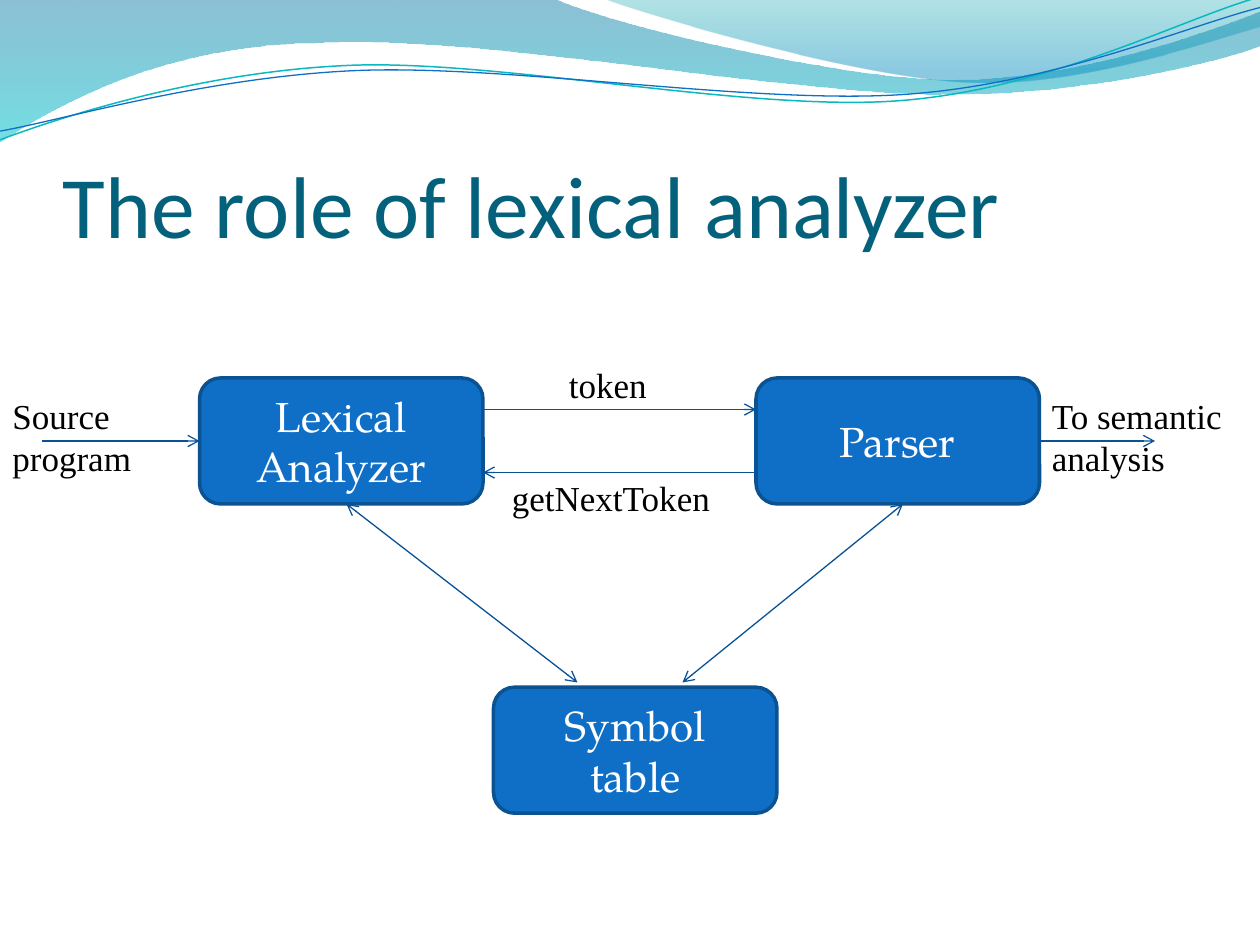
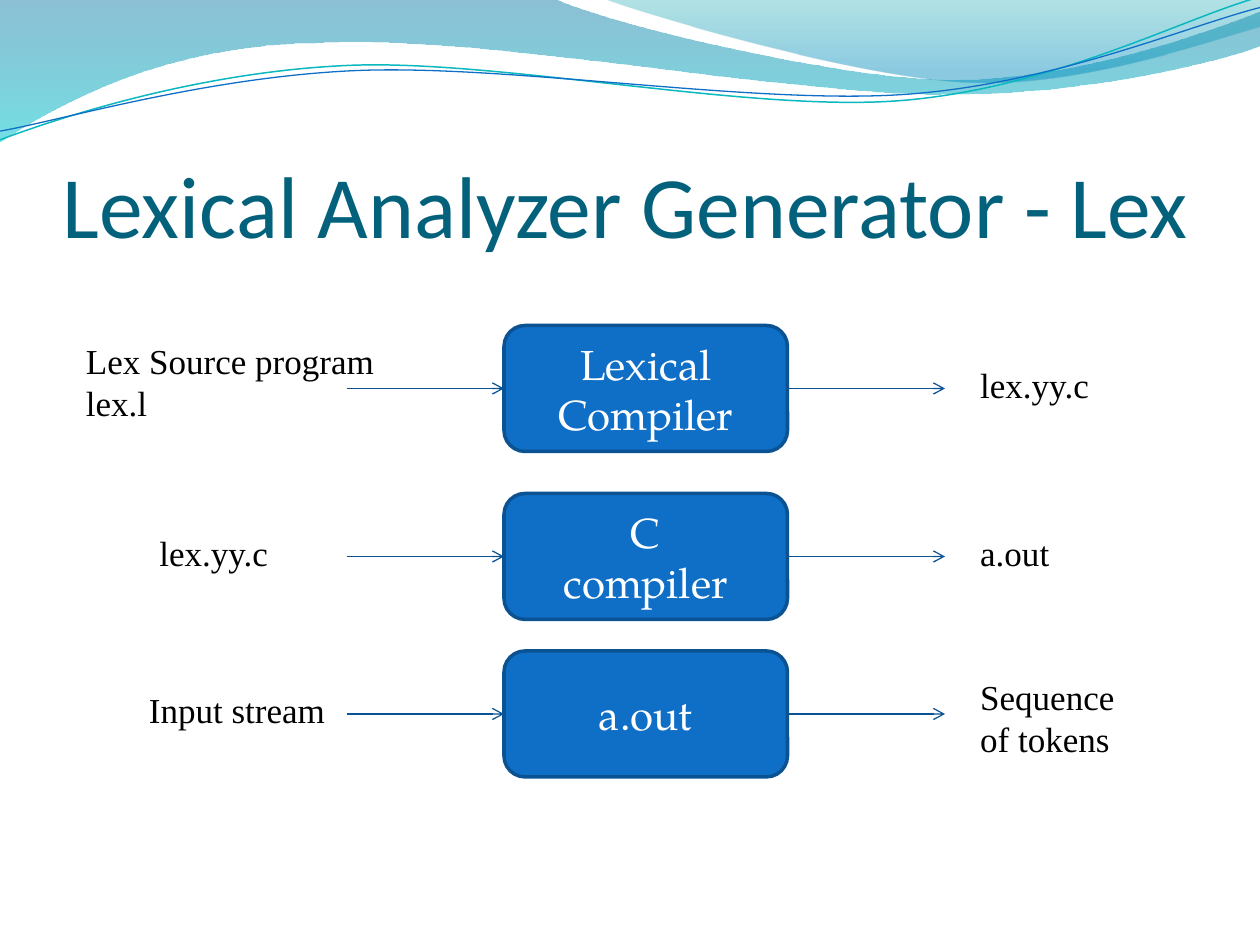
"""Build two slides on lexical analysis: its role, and the Lex generator."""
from dataclasses import dataclass

from lxml.etree import SubElement as Sub
from pptx import Presentation
from pptx.dml.color import RGBColor as RGB
from pptx.enum.shapes import MSO_CONNECTOR as Link, MSO_SHAPE as Kind
from pptx.enum.text import MSO_ANCHOR as Anchor, PP_ALIGN as Align
from pptx.oxml.ns import qn
from pptx.util import Pt


@dataclass(frozen=True)
class Theme:
    title: tuple = ("Calibri", 50, "04617B")
    box: tuple = ("TeX Gyre Pagella", 24, "FFFFFF")
    label: tuple = ("Times New Roman", 20, "000000")
    fill: str = "0F6FC6"
    edge: str = "0B5292"
    arrow: str = "095295"
    teal: str = "0AB8BF"
    wave: tuple = ((0, "0074A1", 45), (1, "00C6CF", 55))
    crest: tuple = ((0, "00A1A9", 30), (0.8, "008BBF", 45))


def sweep(shapes, start, parts, close):
    spots = [(Pt(x), Pt(y)) for part in parts
             for x, y in zip(part[::2], part[1::2])]
    pen = shapes.build_freeform(*map(Pt, start))
    pen.add_line_segments(spots, close=close)
    shape = pen.convert_to_shape()
    shape.shadow.inherit = False
    lines = iter(list(shape.element.iter(qn("a:lnTo"))))
    for part in parts:
        bend = next(lines)
        if len(part) == 6:
            bend.tag = qn("a:cubicBezTo")
            for extra in (next(lines), next(lines)):
                bend.append(extra[0])
                extra.getparent().remove(extra)
    return shape


def write(frame, text, style, align=Align.LEFT):
    frame.text = text
    for para in frame.paragraphs:
        para.alignment = align
        for run in para.runs:
            run.font.name, size, color = style
            run.font.size = Pt(size)
            run.font.color.rgb = RGB.from_string(color)


look = Theme()
wide, high = 162, 72

bands = [
    (look.wave, (0, -0.7), [
        (316.8, -0.7),
        (342.7, 12.2, 478.1, 45.4, 545.8, 45.4),
        (614.2, 45.4, 689.8, 18.7, 720, 6.5),
        (720.7, 25.9),
        (707.8, 31.7, 626.4, 54.7, 537.1, 54),
        (447.8, 54, 275, 20.2, 185, 24.5),
        (92.9, 25.2, 33.1, 59.8, -0.7, 81.4)]),
    (look.crest, (344.9, -0.7), [
        (366.5, 7.9, 491, 44.6, 553.7, 46.8),
        (616.3, 49.7, 691.9, 23, 720, 15.1),
        (720, 0)]),
]
curves = [
    (look.teal, 0.85, (0, 79.9), [
        (34.6, 67, 113.8, 41, 199.4, 37.4),
        (284.4, 33.8, 427, 64.1, 513.4, 57.6),
        (599.8, 51.1, 675.4, 10.8, 718.6, -1.4)]),
    (look.fill, 0.75, (0, 74.9), [
        (33.8, 69.1, 118.1, 43.9, 203.8, 40.3),
        (290.2, 36.7, 429.8, 59.8, 516.2, 54),
        (601.9, 48.2, 677.5, 15.1, 720, 4.3)]),
]

rows = 186, 282, 372
flows = [(x, y + high / 2, x + 90, y + high / 2)
         for y in rows for x in (198, 450)]
pages = [
    {"title": "The role of lexical analyzer",
     "boxes": [("Lexical Analyzer", 114, 216), ("Parser", 432, 216),
               ("Symbol\ntable", 282, 392.7)],
     "arrows": [(24, 252, 114, 252), (276, 234, 432, 234),
                (432, 270, 276, 270), (594, 252, 660, 252)],
     "doubles": [(198, 288, 330, 390), (516, 288, 390, 390)],
     "wrap": False,
     "labels": [("Source\nprogram", 0, 222, 83, 55.4),
                ("token", 318, 204, 59, 31.7),
                ("getNextToken", 285.4, 268.6, 129, 31.7),
                ("To semantic\nanalysis", 594, 222, 112.3, 55.4)]},
    {"title": "Lexical Analyzer Generator - Lex",
     "boxes": [(text, 288, y) for text, y in zip(
         ("Lexical Compiler", "C\ncompiler", "a.out"), rows)],
     "arrows": flows,
     "doubles": [],
     "wrap": True,
     "labels": [("Lex Source program\nlex.l", 42, 190.4, 182, 55.4),
                ("lex.yy.c", 553, 204, 101, 31.7),
                ("lex.yy.c", 84, 300, 124.6, 31.7),
                ("a.out", 553, 300, 101, 31.7),
                ("Input stream", 78, 390, 124.6, 31.7),
                ("Sequence of tokens", 553, 382.3, 101, 55.4)]},
]

deck = Presentation()
deck.slide_width, deck.slide_height = Pt(720), Pt(540)

for page in pages:
    slide = deck.slides.add_slide(deck.slide_layouts[6])
    shapes = slide.shapes

    for stops, start, parts in bands:
        band = sweep(shapes, start, parts, True)
        band.line.fill.background()
        band.fill.gradient()
        band.fill.gradient_angle = 270
        for stop, (place, color, _) in zip(band.fill.gradient_stops, stops):
            stop.position = place
            stop.color.rgb = RGB.from_string(color)
        tints = band.element.spPr.iter(qn("a:srgbClr"))
        for tint, (_, _, alpha) in zip(tints, stops):
            Sub(tint, qn("a:alpha"), val=str(alpha * 1000))

    for color, width, start, parts in curves:
        curve = sweep(shapes, start, parts, False)
        curve.fill.background()
        curve.line.color.rgb = RGB.from_string(color)
        curve.line.width = Pt(width)

    frame = shapes.add_textbox(Pt(36), Pt(56), Pt(648), Pt(90)).text_frame
    frame.word_wrap = True
    frame.vertical_anchor = Anchor.BOTTOM
    frame.margin_left = frame.margin_right = frame.margin_bottom = 0
    write(frame, page["title"], look.title)

    sites = {}
    for text, x, y in page["boxes"]:
        box = shapes.add_shape(Kind.ROUNDED_RECTANGLE,
                               Pt(x), Pt(y), Pt(wide), Pt(high))
        box.shadow.inherit = False
        box.fill.solid()
        box.fill.fore_color.rgb = RGB.from_string(look.fill)
        box.line.color.rgb = RGB.from_string(look.edge)
        box.line.width = Pt(2)
        box.text_frame.vertical_anchor = Anchor.MIDDLE
        write(box.text_frame, text, look.box, Align.CENTER)
        sites[x, y + high / 2] = box, 1
        sites[x + wide, y + high / 2] = box, 3

    for ends in page["arrows"] + page["doubles"]:
        arrow = shapes.add_connector(Link.STRAIGHT, *map(Pt, ends))
        if ends[:2] in sites:
            arrow.begin_connect(*sites[ends[:2]])
        if ends[2:] in sites:
            arrow.end_connect(*sites[ends[2:]])
        arrow.line.color.rgb = RGB.from_string(look.arrow)
        arrow.line.width = Pt(0.75)
        props = arrow.element.spPr
        line = props.find(qn("a:ln"))
        if ends in page["doubles"]:
            Sub(line, qn("a:headEnd"), type="arrow")
        Sub(line, qn("a:tailEnd"), type="arrow")
        Sub(props, qn("a:effectLst"))

    for text, *place in page["labels"]:
        frame = shapes.add_textbox(*map(Pt, place)).text_frame
        frame.word_wrap = page["wrap"]
        write(frame, text, look.label)

deck.save("out.pptx")
